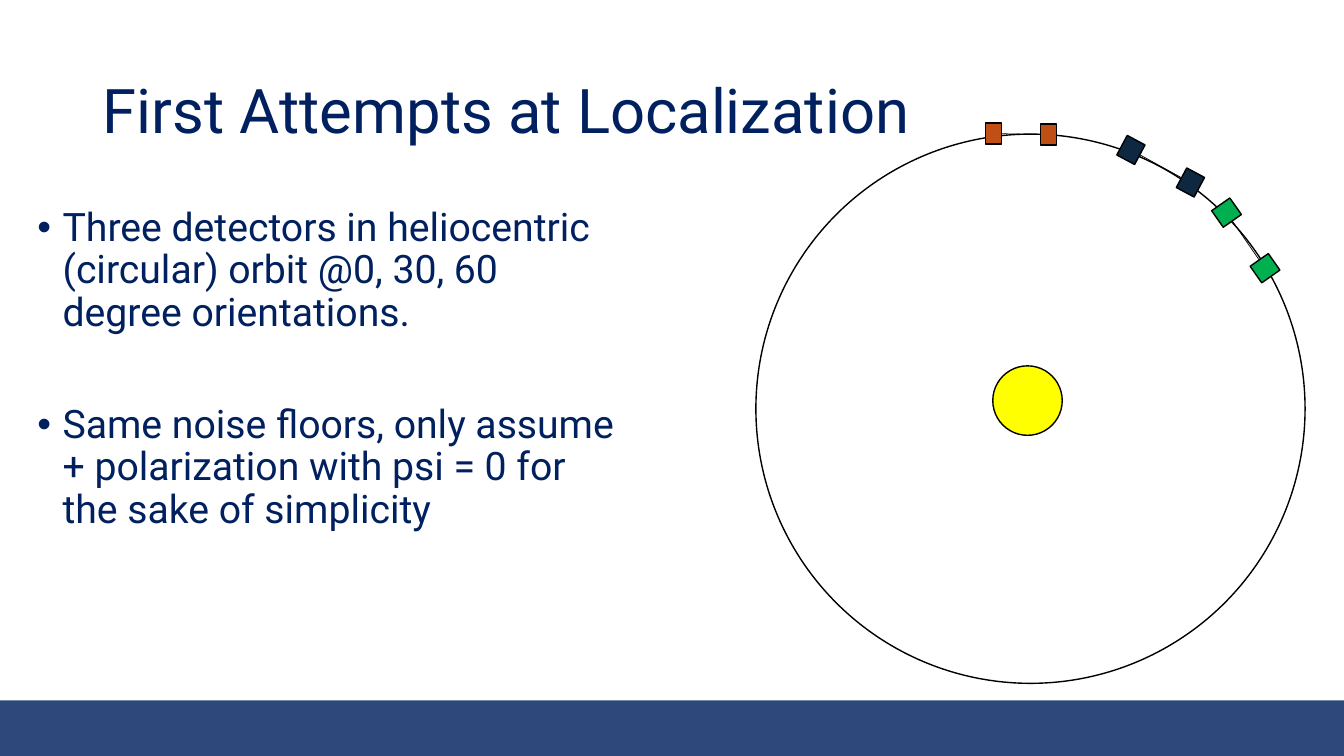
from math import cos, radians, sin

from lxml import etree
from pptx import Presentation
from pptx.dml.color import RGBColor
from pptx.enum.shapes import MSO_CONNECTOR, MSO_SHAPE
from pptx.enum.text import MSO_ANCHOR, PP_ALIGN
from pptx.oxml.ns import qn
from pptx.util import Cm, Pt

RECT = MSO_SHAPE.RECTANGLE
OVAL = MSO_SHAPE.OVAL
LINE = MSO_CONNECTOR.STRAIGHT
LEFT = PP_ALIGN.LEFT
TOP = MSO_ANCHOR.TOP
MIDDLE = MSO_ANCHOR.MIDDLE

FONT = "Roboto"
NAVY = "002060"
BLACK = "000000"

BULLETS = [
    "Three detectors in heliocentric (circular) orbit @0, 30, 60 degree orientations.",
    "Same noise floors, only assume + polarization with psi = 0 for the sake of simplicity",
]

# Colour, turn in degrees, box size, and the two box centres (cm)
PAIRS = [
    ("C04F15", 0, (0.41, 0.53), (25.04, 3.37), (26.42, 3.39)),
    ("0E2841", 28.1, (0.51, 0.56), (28.5, 3.78), (30, 4.6)),
    ("00B050", 54.9, (0.51, 0.56), (30.91, 5.36), (31.88, 6.76)),
]


def paint(color, code):
    color.rgb = RGBColor.from_string(code)


def add_bullet(para, indent):
    props = para._p.get_or_add_pPr()
    props.set("marL", str(indent))
    props.set("indent", str(-indent))
    etree.SubElement(props, qn("a:buFont"), typeface="Arial")
    etree.SubElement(props, qn("a:buChar"), char="•")


def write(frame, lines, size, anchor=TOP, bullet=False, gap=0):
    frame.word_wrap = True
    frame.vertical_anchor = anchor
    for i, line in enumerate(lines):
        para = frame.add_paragraph() if i else frame.paragraphs[0]
        if bullet:
            add_bullet(para, Cm(0.64))
        para.alignment = LEFT
        para.line_spacing = 0.9
        para.space_before = Pt(gap if i else 0)
        run = para.add_run()
        run.text = line
        run.font.name = FONT
        run.font.size = Pt(size)
        paint(run.font.color, NAVY)


def add_form(slide, kind, left, top, width, height, fill=None, edge=BLACK):
    form = slide.shapes.add_shape(kind, Cm(left), Cm(top), Cm(width), Cm(height))
    form.shadow.inherit = False
    if fill:
        form.fill.solid()
        paint(form.fill.fore_color, fill)
    else:
        form.fill.background()
    if edge:
        paint(form.line.color, edge)
        form.line.width = Pt(1)
    else:
        form.line.fill.background()
    return form


def add_pair(slide, fill, turn, size, first, last):
    wide, high = size
    boxes = []
    for x, y in (first, last):
        box = add_form(slide, RECT, x - wide / 2, y - high / 2, wide, high, fill)
        box.rotation = turn
        boxes.append(box)

    # The arm runs between the facing sides of the turned boxes
    dx = wide / 2 * cos(radians(turn))
    dy = wide / 2 * sin(radians(turn))
    arm = slide.shapes.add_connector(LINE, 0, 0, 0, 0)
    arm.begin_connect(boxes[0], 3)
    arm.end_connect(boxes[1], 1)
    arm.begin_x, arm.begin_y = Cm(first[0] + dx), Cm(first[1] + dy)
    arm.end_x, arm.end_y = Cm(last[0] - dx), Cm(last[1] - dy)
    paint(arm.line.color, BLACK)
    arm.line.width = Pt(0.5)
    etree.SubElement(arm._element.spPr, qn("a:effectLst"))


def main():
    deck = Presentation()
    deck.slide_width, deck.slide_height = Cm(33.87), Cm(19.05)
    slide = deck.slides.add_slide(deck.slide_layouts[5])

    # Footer band
    band = add_form(slide, RECT, 0, 17.65, 33.87, 1.4, NAVY, edge=None)
    tint = band.fill._xPr.find(".//" + qn("a:srgbClr"))
    etree.SubElement(tint, qn("a:alpha"), val="82000")

    # Title
    title = slide.shapes.title
    title.left, title.top = Cm(2.34), Cm(1.02)
    title.width, title.height = Cm(29.21), Cm(3.68)
    write(title.text_frame, ["First Attempts at Localization"], 44, MIDDLE)

    # Bullet list
    body = slide.shapes.add_textbox(Cm(0.69), Cm(5.11), Cm(15.06), Cm(12.09))
    write(body.text_frame, BULLETS, 28, bullet=True, gap=50)

    # Sun and orbit
    add_form(slide, OVAL, 25.02, 9.22, 1.75, 1.75, "FFFF00")
    add_form(slide, OVAL, 19.05, 3.38, 13.84, 13.84)

    # Detectors
    for pair in PAIRS:
        add_pair(slide, *pair)

    deck.save("out.pptx")


if __name__ == "__main__":
    main()
